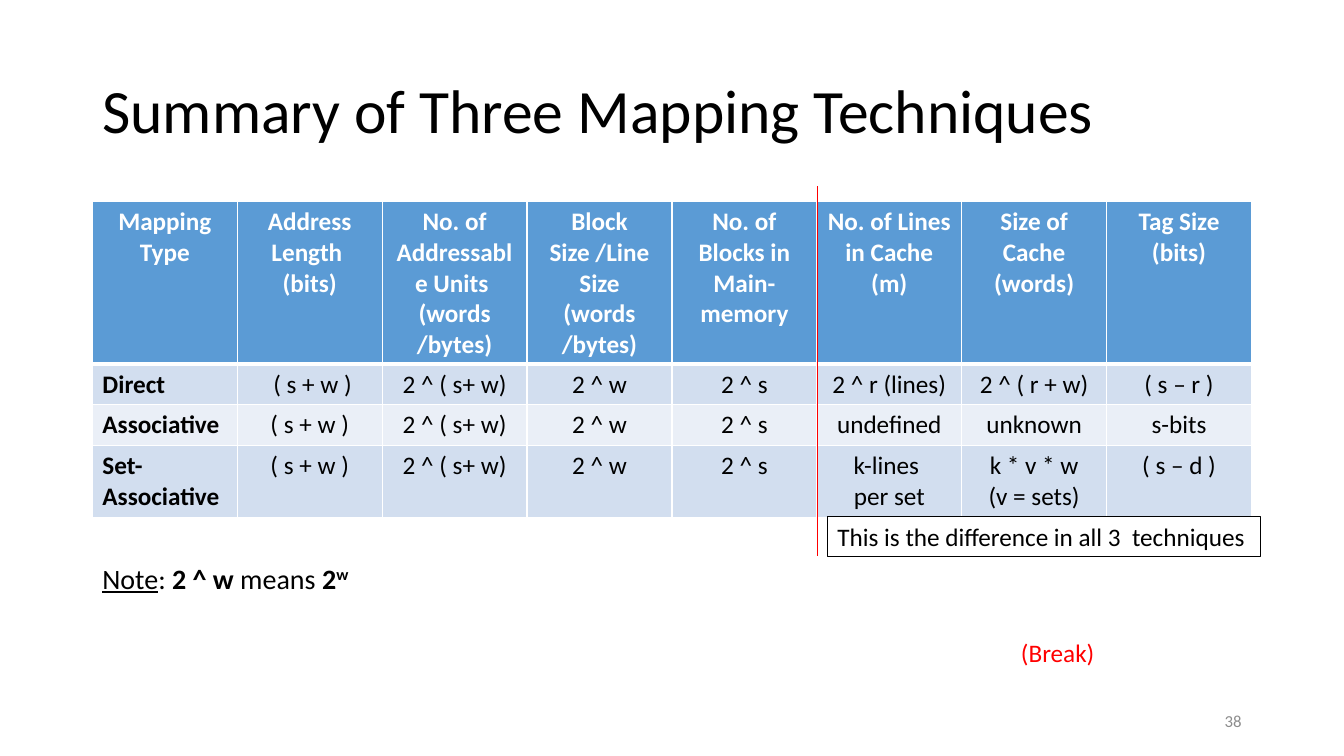
from pptx import Presentation
from pptx.dml.color import RGBColor
from pptx.enum.shapes import MSO_CONNECTOR, MSO_SHAPE
from pptx.enum.text import MSO_ANCHOR, MSO_AUTO_SIZE, PP_ALIGN
from pptx.oxml.ns import qn
from pptx.util import Pt
from lxml import etree

LEFT, MID, RIGHT = PP_ALIGN.LEFT, PP_ALIGN.CENTER, PP_ALIGN.RIGHT
TOP, CENTER = MSO_ANCHOR.TOP, MSO_ANCHOR.MIDDLE
GROW = MSO_AUTO_SIZE.SHAPE_TO_FIT_TEXT
RECT, LINE = MSO_SHAPE.RECTANGLE, MSO_CONNECTOR.STRAIGHT

# Content: a line break in a cell starts a new paragraph
TITLE = "Summary of Three Mapping Techniques"
HEADS = ["Mapping Type", "Address Length \n(bits)",
         "No. of Addressable Units \n(words /bytes)",
         "Block Size /Line Size\n(words /bytes)",
         "No. of Blocks in Main-memory", "No. of Lines in Cache (m)",
         "Size of Cache\n(words)", "Tag Size\n(bits)"]
SHARED = ["2 ^ ( s+ w)", "2 ^ w", "2 ^ s"]
ROWS = [
    ["Direct", " ( s + w )", *SHARED, "2 ^ r (lines)", "2 ^ ( r + w)", "( s – r )"],
    ["Associative", "( s + w )", *SHARED, "undefined", "unknown", "s-bits"],
    ["Set-Associative", "( s + w )", *SHARED, "k-lines \nper set",
     "k * v * w\n(v = sets)", "( s – d )"],
]
REMARK = "This is the difference in all 3  techniques"
NOTE = [("Note", "u"), (": ", ""), ("2 ^ w", "b"), (" means ", ""),
        ("2", "b"), ("w", "b^")]
BREAK = "(Break)"
PAGE = "38"

THEME = {
    "font": "Calibri",
    "ink": "000000", "white": "FFFFFF", "red": "FF0000", "gray": "8C8C8C",
    "head": "5B9BD5", "bands": ["D2DEEF", "EAEFF7"],
    "title": 44, "note": 20, "body": 18, "page": 12,
}

# Layout in points
EDGE, WIDE = 66, 828
TABLE_TOP = 144
HEIGHTS = [116, 29.2, 29.2, 51]
SPLIT = 5  # columns left of the dividing line


def color(name):
    return RGBColor.from_string(THEME.get(name, name))


def add_run(para, text, size, ink="ink", marks=""):
    run = para.add_run()
    run.text = text
    font = run.font
    font.name, font.size = THEME["font"], Pt(THEME[size])
    font.color.rgb = color(ink)
    font.bold, font.underline = "b" in marks, "u" in marks
    if "^" in marks:
        run._r.get_or_add_rPr().set("baseline", "30000")


def fill_frame(frame, runs, size, ink="ink", align=LEFT, anchor=TOP, wrap=True):
    frame.word_wrap = wrap
    frame.vertical_anchor = anchor
    if not wrap:
        frame.auto_size = GROW
    para = frame.paragraphs[0]
    para.alignment = align
    for text, marks in runs:
        add_run(para, text, size, ink, marks)
    return para


def add_text(slide, box, runs, size, **style):
    frame = slide.shapes.add_textbox(*map(Pt, box)).text_frame
    return fill_frame(frame, runs, size, **style)


def add_edges(cell, base):
    props = cell._tc.get_or_add_tcPr()
    for side in "LRTB":
        width = base if side == "B" else 1
        edge = etree.SubElement(props, qn("a:ln" + side), w=str(Pt(width)))
        paint = etree.SubElement(edge, qn("a:solidFill"))
        etree.SubElement(paint, qn("a:srgbClr"), val=THEME["white"])


def fill_cell(cell, text, fill, ink, bold, align, base):
    add_edges(cell, base)
    cell.fill.solid()
    cell.fill.fore_color.rgb = color(fill)
    frame = cell.text_frame
    for i, line in enumerate(text.split("\n")):
        para = frame.add_paragraph() if i else frame.paragraphs[0]
        para.alignment = align
        add_run(para, line, "body", ink, "b" if bold else "")


def add_grid(slide):
    rows = [HEADS, *ROWS]
    box = (EDGE, TABLE_TOP, WIDE, sum(HEIGHTS))
    grid = slide.shapes.add_table(len(rows), len(HEADS), *map(Pt, box)).table
    grid.horz_banding = False
    for col in grid.columns:
        col.width = Pt(WIDE / len(HEADS))
    for r, row in enumerate(rows):
        grid.rows[r].height = Pt(HEIGHTS[r])
        head = r == 0
        fill = "head" if head else THEME["bands"][(r - 1) % 2]
        for c, text in enumerate(row):
            fill_cell(grid.cell(r, c), text, fill,
                      ink="white" if head else "ink",
                      bold=head or c == 0,
                      align=MID if head or c else LEFT,
                      base=3 if head else 1)


def add_remark(slide):
    shape = slide.shapes.add_shape(RECT, *map(Pt, (591.1, 368.6, 309.6, 29.1)))
    shape.shadow.inherit = False
    shape.fill.background()
    shape.line.color.rgb = color("ink")
    shape.line.width = Pt(0.75)
    fill_frame(shape.text_frame, [(REMARK, "")], "body", wrap=False)


def add_split(slide):
    x = EDGE + SPLIT * WIDE / len(HEADS)
    line = slide.shapes.add_connector(LINE, Pt(x), Pt(133.2), Pt(x), Pt(397.4))
    line.line.color.rgb = color("red")
    line.line.width = Pt(0.5)
    etree.SubElement(line._element.spPr, qn("a:effectLst"))


def main():
    deck = Presentation()
    deck.slide_width, deck.slide_height = Pt(960), Pt(540)
    slide = deck.slides.add_slide(deck.slide_layouts[6])

    # Title and page number
    title = add_text(slide, (EDGE, 28.8, WIDE, 104.4), [(TITLE, "")], "title",
                     anchor=CENTER)
    title.line_spacing = 0.9
    add_text(slide, (678, 500.5, 216, 28.8), [(PAGE, "")], "page",
             ink="gray", align=RIGHT, anchor=CENTER)

    # Comparison table with its remark and dividing line
    add_grid(slide)
    add_remark(slide)
    add_split(slide)

    # Notes below the table
    add_text(slide, (EDGE, 397.4, 193, 31.5), NOTE, "note", wrap=False)
    add_text(slide, (722.2, 451.5, 67.7, 29.1), [(BREAK, "")], "body",
             ink="red", wrap=False)
    deck.save("out.pptx")


if __name__ == "__main__":
    main()
